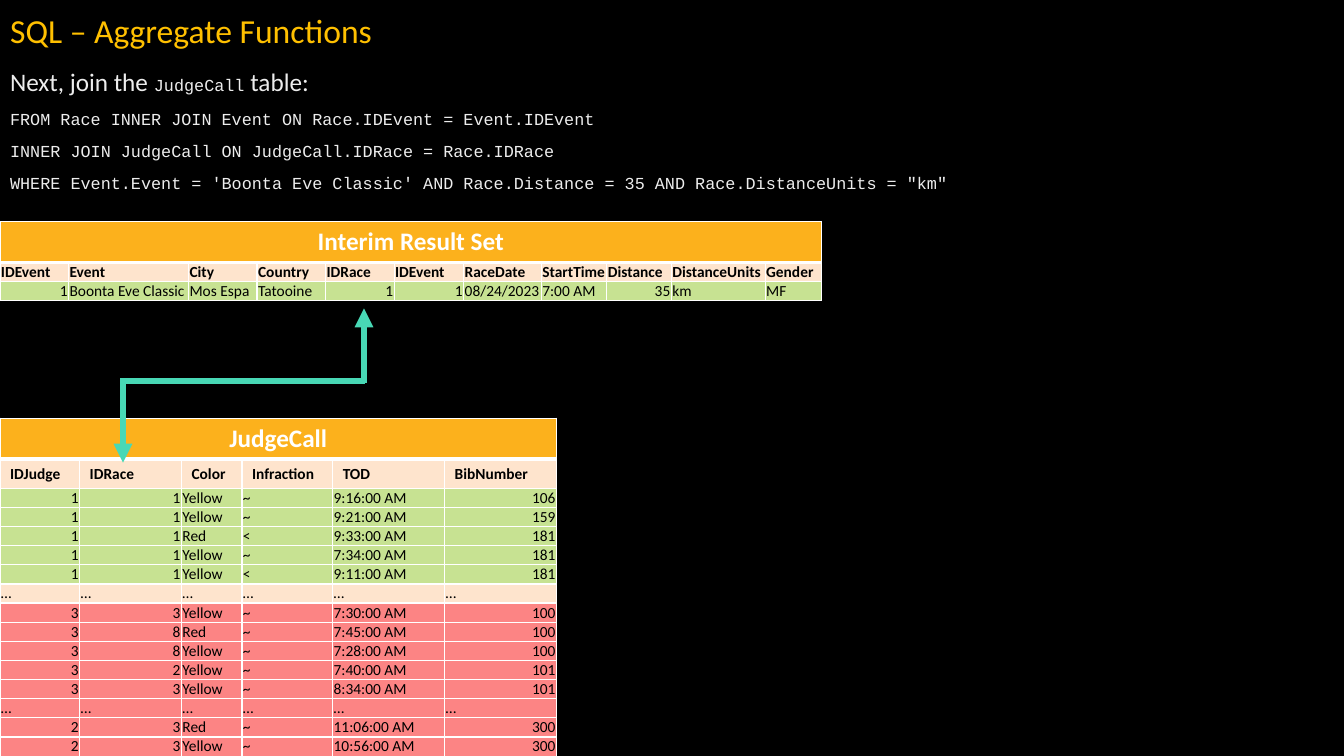
from lxml import etree
from pptx import Presentation
from pptx.dml.color import RGBColor
from pptx.enum.shapes import MSO_CONNECTOR
from pptx.enum.text import MSO_ANCHOR, MSO_AUTO_SIZE, PP_ALIGN
from pptx.oxml.ns import qn
from pptx.util import Inches, Pt

STRAIGHT = MSO_CONNECTOR.STRAIGHT
LEFT, CENTER, RIGHT = PP_ALIGN.LEFT, PP_ALIGN.CENTER, PP_ALIGN.RIGHT
TOP, MIDDLE, BOTTOM = MSO_ANCHOR.TOP, MSO_ANCHOR.MIDDLE, MSO_ANCHOR.BOTTOM
FIXED_SIZE = MSO_AUTO_SIZE.NONE

# The slide is a grid of 1333 columns by 750 rows.
GRID_COLS, GRID_ROWS = 1333, 750
UNIT = Inches(0.01)
HEADING_ROW, DATA_ROW = 40, 19

BODY_FONT, CODE_FONT = "Calibri", "Courier New"
BLACK, WHITE, GOLD, PALE = "000000", "FFFFFF", "FFC000", "EDEDED"
ORANGE, PEACH, GREEN, RED = "FCB11C", "FEE4CD", "C7E292", "FC8484"
TEAL = "48D8B5"

QUERY = [
    "FROM Race INNER JOIN Event ON Race.IDEvent = Event.IDEvent",
    "INNER JOIN JudgeCall ON JudgeCall.IDRace = Race.IDRace",
    "WHERE Event.Event = 'Boonta Eve Classic' AND Race.Distance = 35 "
    "AND Race.DistanceUnits = \"km\"",
]
INTERIM_COLS = [68, 119, 68, 68, 68, 69, 77, 65, 64, 93, 56]
INTERIM_FIELDS = ["IDEvent", "Event", "City", "Country", "IDRace", "IDEvent", "RaceDate",
                  "StartTime", "Distance", "DistanceUnits", "Gender"]
INTERIM_ROWS = [
    (GREEN, ["1", "Boonta Eve Classic", "Mos Espa", "Tatooine", "1", "1", "08/24/2023",
             "7:00 AM", "35", "km", "MF"]),
]
JUDGE_COLS = [79, 101, 60, 90, 111, 111]
JUDGE_FIELDS = ["IDJudge", "IDRace", "Color", "Infraction", "TOD", "BibNumber"]
OMITTED = ["…"] * len(JUDGE_FIELDS)
JUDGE_ROWS = [
    (GREEN, ["1", "1", "Yellow", "~", "9:16:00 AM", "106"]),
    (GREEN, ["1", "1", "Yellow", "~", "9:21:00 AM", "159"]),
    (GREEN, ["1", "1", "Red", "<", "9:33:00 AM", "181"]),
    (GREEN, ["1", "1", "Yellow", "~", "7:34:00 AM", "181"]),
    (GREEN, ["1", "1", "Yellow", "<", "9:11:00 AM", "181"]),
    (PEACH, OMITTED),
    (RED, ["3", "3", "Yellow", "~", "7:30:00 AM", "100"]),
    (RED, ["3", "8", "Red", "~", "7:45:00 AM", "100"]),
    (RED, ["3", "8", "Yellow", "~", "7:28:00 AM", "100"]),
    (RED, ["3", "2", "Yellow", "~", "7:40:00 AM", "101"]),
    (RED, ["3", "3", "Yellow", "~", "8:34:00 AM", "101"]),
    (RED, OMITTED),
    (RED, ["2", "3", "Red", "~", "11:06:00 AM", "300"]),
    (RED, ["2", "3", "Yellow", "~", "10:56:00 AM", "300"]),
]


def paint(color_format, hex_color):
    color_format.rgb = RGBColor.from_string(hex_color)


def add_run(paragraph, text, size, color, font=BODY_FONT, bold=False):
    run = paragraph.add_run()
    run.text = text
    run.font.name = font
    run.font.size = Pt(size)
    run.font.bold = bold
    paint(run.font.color, color)


def place(shape, left, top, width, height):
    shape.left, shape.top = left * UNIT, top * UNIT
    shape.width, shape.height = width * UNIT, height * UNIT


def open_frame(placeholder, top, height, anchor):
    """Stretch a placeholder across the slide and return its text frame."""
    place(placeholder, 0, top, GRID_COLS, height)
    frame = placeholder.text_frame
    frame.word_wrap = True
    frame.auto_size = FIXED_SIZE
    frame.vertical_anchor = anchor
    return frame


def fill_title(placeholder):
    heading = open_frame(placeholder, 0, 64, MIDDLE).paragraphs[0]
    heading.alignment = LEFT
    heading.line_spacing = 0.9
    add_run(heading, "SQL – Aggregate Functions", 24, GOLD)


def fill_query(placeholder):
    frame = open_frame(placeholder, 64, 174, TOP)
    intro = [("Next, join the ", 18, BODY_FONT), ("JudgeCall", 12, CODE_FONT),
             (" table:", 18, BODY_FONT)]
    lines = [intro] + [[(clause, 12, CODE_FONT)] for clause in QUERY]
    for index, line in enumerate(lines):
        paragraph = frame.add_paragraph() if index else frame.paragraphs[0]
        properties = paragraph._p.get_or_add_pPr()
        properties.set("marL", "0")
        properties.set("indent", "0")
        etree.SubElement(properties, qn("a:buNone"))
        paragraph.alignment = LEFT
        paragraph.line_spacing = 0.9
        paragraph.space_before = Pt(10 if index else 0)
        for text, size, font in line:
            add_run(paragraph, text, size, PALE, font)


def set_borders(cell, top=1, bottom=1):
    properties = cell._tc.get_or_add_tcPr()
    for side, points in (("L", 1), ("R", 1), ("T", top), ("B", bottom)):
        edge = etree.SubElement(properties, qn(f"a:ln{side}"), w=str(Pt(points)))
        solid = etree.SubElement(edge, qn("a:solidFill"))
        etree.SubElement(solid, qn("a:srgbClr"), val=WHITE)


def fill_cell(cell, text, fill, size=11, color=BLACK, bold=False, align=LEFT, tight=True):
    """Write one cell; a tight cell has almost no margins and sits at the bottom."""
    if tight:
        cell.margin_left = cell.margin_right = UNIT
        cell.margin_top = cell.margin_bottom = 0
        cell.vertical_anchor = BOTTOM
    cell.fill.solid()
    paint(cell.fill.fore_color, fill)
    paragraph = cell.text_frame.paragraphs[0]
    paragraph.alignment = align
    add_run(paragraph, text, size, color, bold=bold)


def add_result_table(slide, top, name, widths, fields, records, field_row, tight_fields):
    heights = [HEADING_ROW, field_row] + [DATA_ROW] * len(records)
    table = slide.shapes.add_table(len(heights), len(widths), 0, top * UNIT,
                                   sum(widths) * UNIT, sum(heights) * UNIT).table
    table.first_row = table.horz_banding = False
    for column, width in zip(table.columns, widths):
        column.width = width * UNIT
    for row, height in zip(table.rows, heights):
        row.height = height * UNIT
    for index, row in enumerate(table.rows):
        for cell in row.cells:
            set_borders(cell, top=3 if index == 1 else 1, bottom=3 if index == 0 else 1)

    heading = table.cell(0, 0)
    heading.merge(table.cell(0, len(widths) - 1))
    fill_cell(heading, name, ORANGE, 18, WHITE, True, CENTER, tight=False)
    for cell, field in zip(table.rows[1].cells, fields):
        fill_cell(cell, field, PEACH, bold=True, tight=tight_fields)
    for index, (fill, values) in enumerate(records, start=2):
        for cell, value in zip(table.rows[index].cells, values):
            fill_cell(cell, value, fill, align=RIGHT if value.isdigit() else LEFT)


def add_link(slide, start, end, arrow=False):
    ends = [length * UNIT for length in (*start, *end)]
    link = slide.shapes.add_connector(STRAIGHT, *ends)
    link.line.width = Pt(4.5)
    paint(link.line.color, TEAL)
    if arrow:
        etree.SubElement(link.line._get_or_add_ln(), qn("a:tailEnd"), type="triangle")
    etree.SubElement(link._element.spPr, qn("a:effectLst"))


def main():
    deck = Presentation()
    deck.slide_width, deck.slide_height = GRID_COLS * UNIT, GRID_ROWS * UNIT
    slide = deck.slides.add_slide(deck.slide_layouts[1])
    slide.background.fill.solid()
    paint(slide.background.fill.fore_color, BLACK)

    fill_title(slide.shapes.title)
    fill_query(slide.placeholders[1])
    add_result_table(slide, 415, "JudgeCall", JUDGE_COLS, JUDGE_FIELDS, JUDGE_ROWS,
                     field_row=28, tight_fields=False)
    add_result_table(slide, 220, "Interim Result Set", INTERIM_COLS, INTERIM_FIELDS,
                     INTERIM_ROWS, field_row=DATA_ROW, tight_fields=True)

    interim_key, judge_key, bend = 361, 122, 378
    add_link(slide, (interim_key, bend + 2), (interim_key, 306), arrow=True)
    add_link(slide, (judge_key, bend - 3), (judge_key, 459), arrow=True)
    add_link(slide, (interim_key + 1, bend), (judge_key, bend))
    deck.save("out.pptx")


if __name__ == "__main__":
    main()
